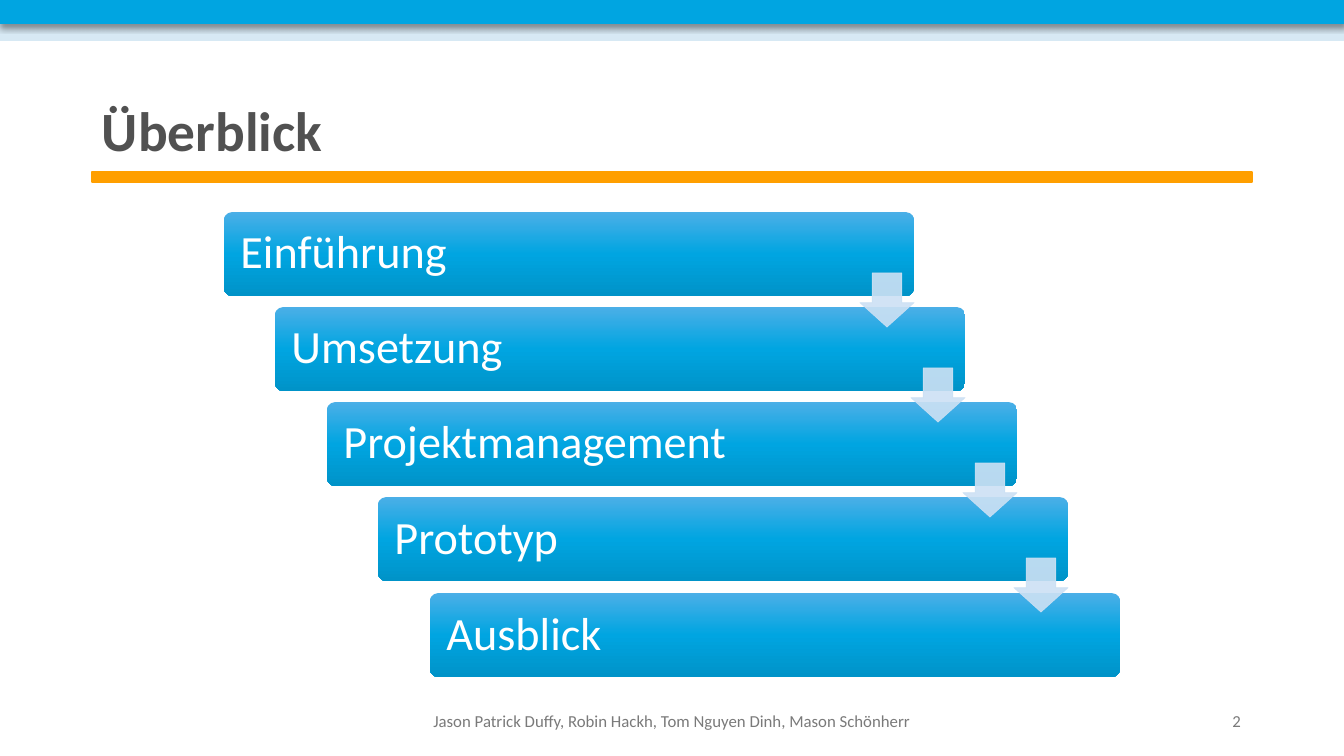
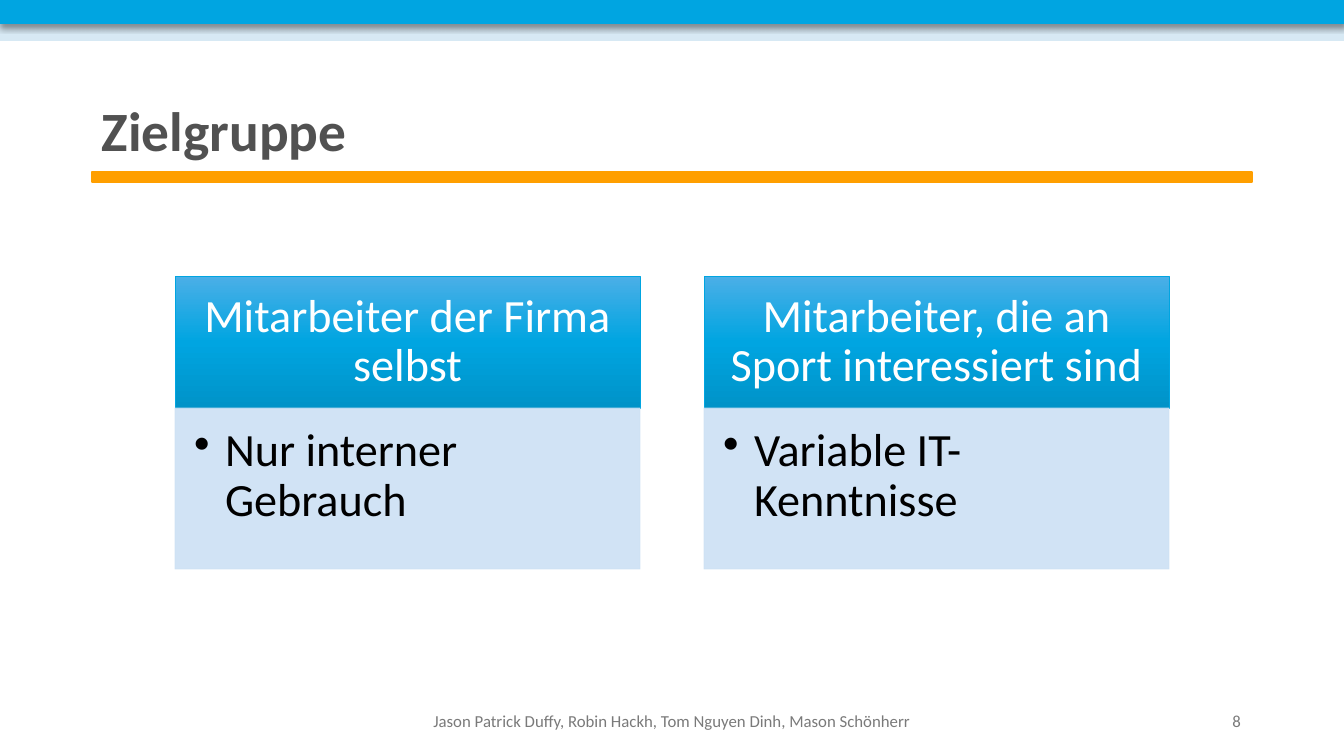
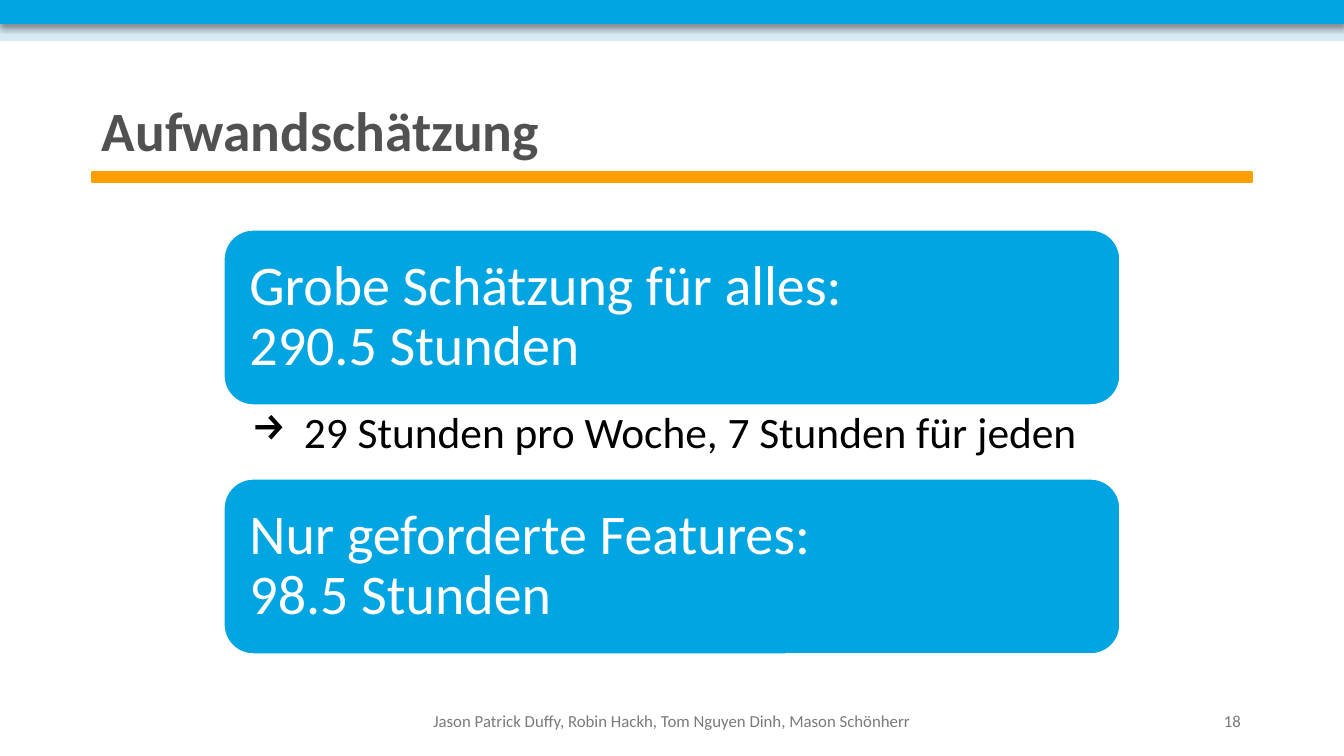
from lxml.etree import SubElement
from pptx import Presentation
from pptx.dml.color import RGBColor
from pptx.enum.shapes import MSO_SHAPE
from pptx.enum.text import MSO_ANCHOR, PP_ALIGN
from pptx.oxml.ns import qn
from pptx.util import Pt

PX = 12192000 / 1344
FONT = "Calibri"
COLORS = {
    "blue": "00A5E1",
    "blue_light": "4BAFE7",
    "blue_dark": "0093C8",
    "pale": "CCE1F4",
    "band": "D7E9F4",
    "orange": "FF9F00",
    "title": "515151",
    "footer": "7A7A7A",
    "white": "FFFFFF",
    "black": "000000",
}
GRADIENT = ((0, "blue_light"), (50, "blue"), (100, "blue_dark"))
AUTHORS = "Jason Patrick Duffy, Robin Hackh, Tom Nguyen Dinh, Mason Schönherr"


def add_box(slide, box, kind=MSO_SHAPE.RECTANGLE, fill=None, line=None,
            line_width=1, alpha=None, adjustments=()):
    """Add a shape at box (px); fill is a colour name, GRADIENT, or None for a text box."""
    place = [round(value * PX) for value in box]
    if fill is None:
        return slide.shapes.add_textbox(*place)
    shape = slide.shapes.add_shape(kind, *place)
    shape.shadow.inherit = False
    for index, value in enumerate(adjustments):
        shape.adjustments[index] = value
    if fill is GRADIENT:
        shape.fill.gradient()
        shape.fill.gradient_angle = 270
        stops = next(shape._element.spPr.iter(qn("a:gsLst")))
        for stop in list(stops):
            stops.remove(stop)
        for position, name in GRADIENT:
            stop = SubElement(stops, qn("a:gs"), pos=str(position * 1000))
            SubElement(stop, qn("a:srgbClr"), val=COLORS[name])
    else:
        shape.fill.solid()
        shape.fill.fore_color.rgb = RGBColor.from_string(COLORS[fill])
    if line:
        shape.line.color.rgb = RGBColor.from_string(COLORS[line])
        shape.line.width = Pt(line_width)
    else:
        shape.line.fill.background()
    if alpha:
        for color in shape._element.spPr.iter(qn("a:srgbClr")):
            SubElement(color, qn("a:alpha"), val=str(alpha * 1000))
    return shape


def write_text(shape, text, size, color, bold=False, align=PP_ALIGN.LEFT,
               anchor=MSO_ANCHOR.MIDDLE, margins=(10, 5, 10, 5), spacing=0.9,
               bullet=None, indent=0):
    frame = shape.text_frame
    frame.word_wrap = True
    frame.vertical_anchor = anchor
    (frame.margin_left, frame.margin_top,
     frame.margin_right, frame.margin_bottom) = [round(value * PX) for value in margins]
    paragraph = frame.paragraphs[0]
    paragraph.text = text
    if bullet:
        properties = paragraph._p.get_or_add_pPr()
        properties.set("marL", str(round(indent * PX)))
        properties.set("indent", str(round(-indent * PX)))
        SubElement(properties, qn("a:buChar"), char=bullet)
    paragraph.alignment = align
    paragraph.line_spacing = spacing
    for run in paragraph.runs:
        run.font.name = FONT
        run.font.size = Pt(size)
        run.font.bold = bold
        run.font.color.rgb = RGBColor.from_string(COLORS[color])


presentation = Presentation()
presentation.slide_width = round(1344 * PX)
presentation.slide_height = round(756 * PX)

# Shared frame: bands, title, rule and footer
slides = []
for title, number in (("Überblick", "2"), ("Zielgruppe", "8"), ("Aufwandschätzung", "18")):
    slide = presentation.slides.add_slide(presentation.slide_layouts[6])
    slides.append(slide)
    add_box(slide, (-10, 16, 1368, 24), fill="band", line="band")
    top_band = add_box(slide, (0, -1, 1344, 24), fill="blue", line="blue")
    effects = top_band._element.spPr.find(qn("a:effectLst"))
    shadow = SubElement(effects, qn("a:outerShdw"), blurRad=str(Pt(4)), dist=str(Pt(3)),
                        dir="5400000", algn="t", rotWithShape="0")
    shadow_color = SubElement(shadow, qn("a:srgbClr"), val=COLORS["black"])
    SubElement(shadow_color, qn("a:alpha"), val="40000")
    add_box(slide, (92, 172, 1160, 10), fill="orange", line="orange")
    write_text(add_box(slide, (92, 99, 1160, 70)), title, 39.6, "title", bold=True)
    write_text(add_box(slide, (395, 701, 554, 40)), AUTHORS, 12, "footer",
               align=PP_ALIGN.CENTER, spacing=1)
    write_text(add_box(slide, (949, 701, 302, 40)), number, 12, "footer",
               align=PP_ALIGN.RIGHT, spacing=1)

overview, audience, effort = slides

# Overview: descending steps joined by arrows
steps = ("Einführung", "Umsetzung", "Projektmanagement", "Prototyp", "Ausblick")
corners = [(224 + 206 * i // 4, 212 + 381 * i // 4) for i in range(len(steps))]
for step, (left, top) in zip(steps, corners):
    shape = add_box(overview, (left, top, 690, 84), MSO_SHAPE.ROUNDED_RECTANGLE,
                    fill=GRADIENT, adjustments=(0.1,))
    write_text(shape, step, 33, "white", margins=(14, 14, 14, 14))
for left, top in corners[:-1]:
    add_box(overview, (left + 636, top + 61, 54, 54), MSO_SHAPE.DOWN_ARROW, fill="pale",
            line="pale", line_width=0.5, alpha=90, adjustments=(0.55, 0.45))

# Target group: two columns with header and body
columns = (
    ("Mitarbeiter der Firma selbst", "Nur interner Gebrauch"),
    ("Mitarbeiter, die an Sport interessiert sind", "Variable IT-Kenntnisse"),
)
for i, (heading, detail) in enumerate(columns):
    left = 175 + 529 * i
    header = add_box(audience, (left, 276, 465, 132), fill=GRADIENT, line="blue",
                     line_width=0.5)
    write_text(header, heading, 33, "white", align=PP_ALIGN.CENTER,
               margins=(26, 15, 26, 15))
    body = add_box(audience, (left, 408, 465, 161), fill="pale", line="pale",
                   line_width=0.5, alpha=90)
    write_text(body, detail, 33, "black", anchor=MSO_ANCHOR.TOP,
               margins=(19, 19, 26, 29), bullet="•", indent=31)

# Effort: two estimates with a note between them
estimates = ("Grobe Schätzung für alles:\n290.5 Stunden",
             "Nur geforderte Features:\n98.5 Stunden")
for i, estimate in enumerate(estimates):
    card = add_box(effort, (224, 230 + 249 * i, 896, 175), MSO_SHAPE.ROUNDED_RECTANGLE,
                   fill="blue", line="white")
    write_text(card, estimate, 40, "white", margins=(17, 17, 17, 17))
write_text(add_box(effort, (224, 405, 896, 73)),
           "29 Stunden pro Woche, 7 Stunden für jeden", 31, "black",
           anchor=MSO_ANCHOR.TOP, margins=(28, 6, 31, 6), bullet="→", indent=52)

presentation.save("out.pptx")
